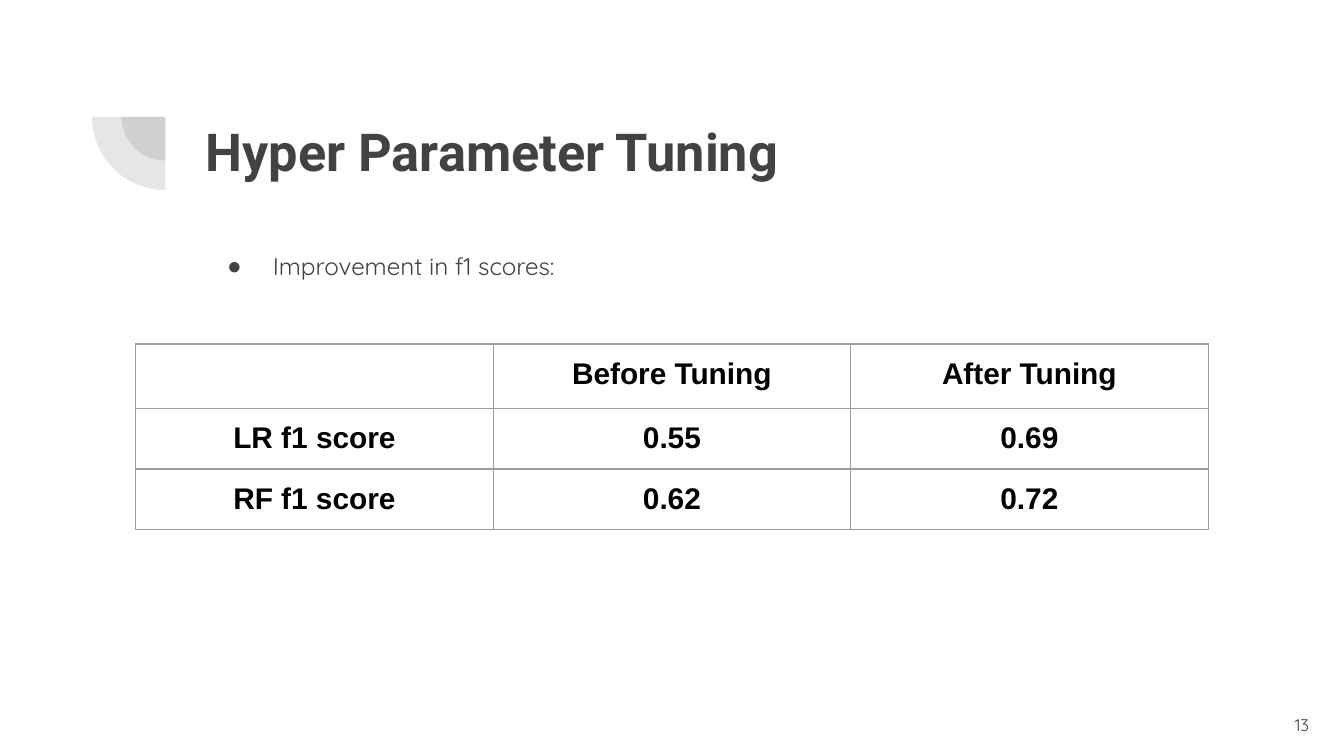
"""Build the slide on hyper parameter tuning and its f1 scores."""
from lxml.etree import SubElement as Sub
from pptx import Presentation
from pptx.dml.color import RGBColor
from pptx.enum.shapes import MSO_SHAPE as Shape
from pptx.enum.text import MSO_ANCHOR as Anchor, MSO_AUTO_SIZE as Auto, PP_ALIGN as Align
from pptx.oxml.ns import qn
from pptx.util import Pt

PX = 9144
INK, GRID = "424242", "9E9E9E"


def tint(code):
    return RGBColor.from_string(code)


def write(para, text, face, size, code=INK, bold=False, align=Align.LEFT):
    para.alignment = align
    run = para.add_run()
    run.text = text
    font = run.font
    font.name, font.size, font.bold = face, Pt(size), bold
    font.color.rgb = tint(code)


deck = Presentation()
deck.slide_width = 1000 * PX
deck.slide_height = deck.slide_width * 9 // 16
slide = deck.slides.add_slide(deck.slide_layouts[1])
shapes = slide.shapes
title, body = slide.placeholders

mid_x, mid_y = 123, 87
for size in (65, 109):
    left, top = mid_x - size / 2, mid_y - size / 2
    pie = shapes.add_shape(Shape.PIE, *[int(n * PX) for n in (left, top, size, size)])
    pie.adjustments[0], pie.adjustments[1] = 108, 162
    pie.rotation = 270
    pie.shadow.inherit = False
    pie.fill.solid()
    pie.fill.fore_color.rgb = tint(INK)
    for shade in pie._element.iter(qn("a:srgbClr")):
        Sub(shade, qn("a:alpha"), val="13000")
    pie.line.fill.background()

page = shapes.add_textbox(0, 0, PX, PX)
for box, spot, anchor in (
    (title, (143, 79, 769, 109), Anchor.TOP),
    (body, (143, 174, 769, 311), Anchor.TOP),
    (page, (924, 518, 60, 43), Anchor.MIDDLE),
):
    box.left, box.top, box.width, box.height = [n * PX for n in spot]
    frame = box.text_frame
    frame.word_wrap, frame.auto_size = True, Auto.NONE
    frame.vertical_anchor = anchor
    frame.margin_left = frame.margin_right = 10 * PX
    frame.margin_top = frame.margin_bottom = 10 * PX

write(title.text_frame.paragraphs[0], "Hyper Parameter Tuning", "Roboto", 28, bold=True)
write(page.text_frame.paragraphs[0], "13", "Quicksand", 9, align=Align.RIGHT)

item = body.text_frame.paragraphs[0]
item.line_spacing, item.space_before = 1.15, Pt(0)
write(item, "Improvement in f1 scores:", "Quicksand", 13)
props = item._p.get_or_add_pPr()
props.set("marL", str(50 * PX))
props.set("indent", str(-34 * PX))
Sub(Sub(props, qn("a:buClr")), qn("a:srgbClr"), val=INK)
Sub(props, qn("a:buChar"), char="●")

scores = (
    ("", "Before Tuning", "After Tuning"),
    ("LR f1 score", "0.55", "0.69"),
    ("RF f1 score", "0.62", "0.72"),
)
table = shapes.add_table(3, 3, 101 * PX, 256 * PX, 798 * PX, 138 * PX).table
table.first_row = table.horz_banding = False
for col in table.columns:
    col.width = 266 * PX
for row, high, texts in zip(table.rows, (48, 45, 45), scores):
    row.height = high * PX
    for cell, text in zip(row.cells, texts):
        cell.margin_left = cell.margin_right = 10 * PX
        cell.margin_top = cell.margin_bottom = 10 * PX
        edges = cell._tc.get_or_add_tcPr()
        for side in "LRTB":
            edge = Sub(edges, qn("a:ln" + side), w=str(Pt(0.75)))
            Sub(Sub(edge, qn("a:solidFill")), qn("a:srgbClr"), val=GRID)
        cell.fill.background()
        para = cell.text_frame.paragraphs[0]
        if text:
            write(para, text, "Arial", 16, "000000", True, Align.CENTER)
        else:
            Sub(para._p, qn("a:endParaRPr"), sz="1600")

deck.save("out.pptx")
